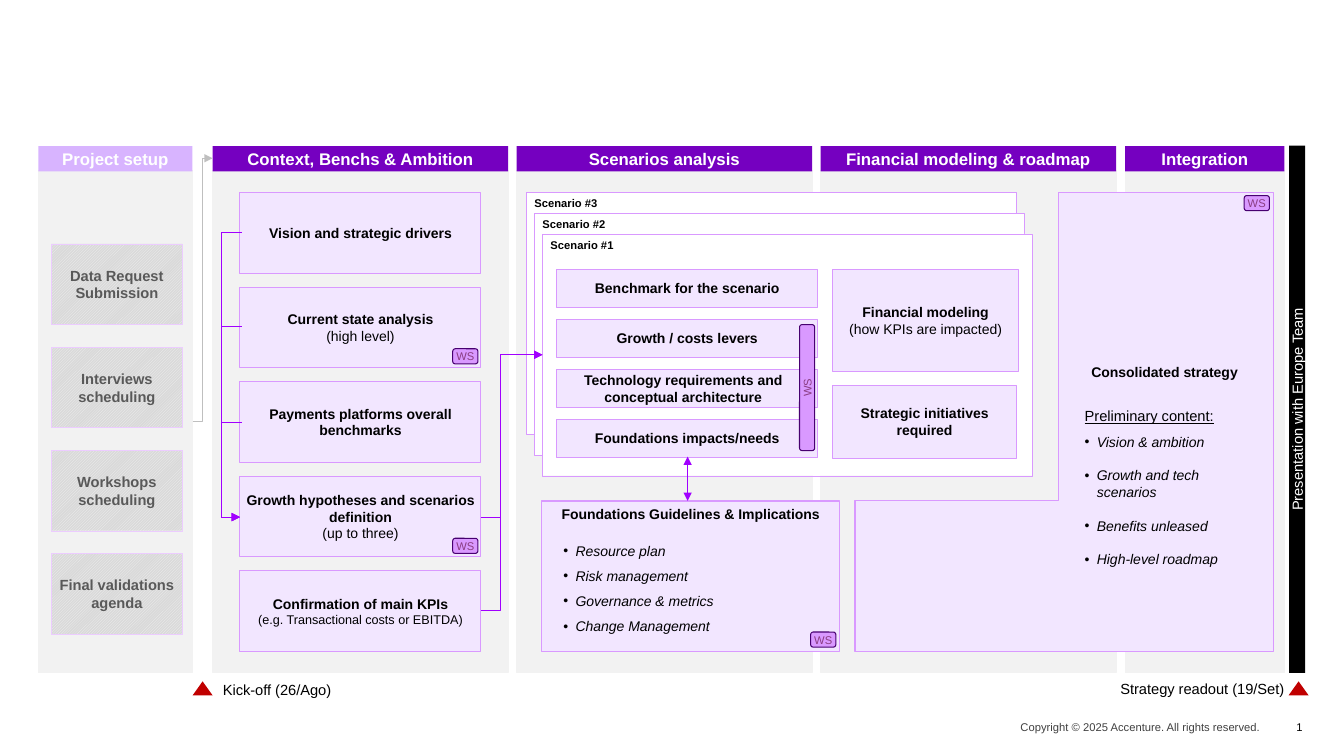
from dataclasses import dataclass

from lxml import etree
from pptx import Presentation, util as u
from pptx.dml.color import RGBColor
from pptx.enum import dml, shapes, text
from pptx.oxml.ns import qn

CELL = 0.1  # one grid column or row, in inches
KIND = shapes.MSO_SHAPE
CENTER, LEFT, RIGHT = text.PP_ALIGN.CENTER, text.PP_ALIGN.LEFT, text.PP_ALIGN.RIGHT
TOP, MIDDLE = text.MSO_ANCHOR.TOP, text.MSO_ANCHOR.MIDDLE
TIGHT = (0.4, 0, 0.4, 0)
EVEN = (0.4, 0.4, 0.4, 0.4)
NONE = (0, 0, 0, 0)


@dataclass(frozen=True)
class Theme:
    font: str = "Arial"
    heading: float = 12
    label: float = 10.5
    body: float = 10
    note: float = 9
    small: float = 8
    black: str = "000000"
    white: str = "FFFFFF"
    panel: str = "F2F2F2"
    hatch: str = "D9D9D9"
    muted: str = "595959"
    footer: str = "404040"
    header: str = "7500C0"
    pale_header: str = "D8B4FF"
    card: str = "F2E6FF"
    card_edge: str = "D999FF"
    pale_edge: str = "ECCCFF"
    badge_edge: str = "470070"
    badge_text: str = "8A3D82"
    accent: str = "A100FF"
    handover: str = "BFBFBF"
    milestone: str = "C00000"


T = Theme()


def grid(*cells):
    return [u.Inches(round(c * CELL, 3)) for c in cells]


def rgb(colour):
    return RGBColor.from_string(colour)


def outline(shape, colour=None, width=0.75):
    if colour:
        shape.line.color.rgb = rgb(colour)
        shape.line.width = u.Pt(width)
    else:
        shape.line.fill.background()


def setup_frame(frame, anchor, insets):
    frame.word_wrap = True
    frame.vertical_anchor = anchor
    (frame.margin_left, frame.margin_top,
     frame.margin_right, frame.margin_bottom) = grid(*insets)


def add_run(paragraph, words, size=T.body, colour=T.black, **style):
    run = paragraph.add_run()
    run.text = words
    run.font.name, run.font.size = T.font, u.Pt(size)
    run.font.color.rgb = rgb(colour)
    for key, value in style.items():
        setattr(run.font, key, value)


def block(slide, place, fill, edge=None, width=0.75, kind=KIND.RECTANGLE, turn=0):
    shape = slide.shapes.add_shape(kind, *grid(*place))
    shape.shadow.inherit = False
    shape.fill.solid()
    shape.fill.fore_color.rgb = rgb(fill)
    outline(shape, edge, width)
    shape.rotation = turn
    return shape


def label(shape, words, size=T.body, colour=T.black, align=CENTER, anchor=MIDDLE,
          insets=NONE, note=None, note_size=T.body, **style):
    setup_frame(shape.text_frame, anchor, insets)
    paragraph = shape.text_frame.paragraphs[0]
    paragraph.alignment = align
    add_run(paragraph, words, size, colour, **style)
    if note:
        paragraph.add_line_break()
        add_run(paragraph, note, note_size, colour)


def caption(slide, place, words, size=T.label, **options):
    label(slide.shapes.add_textbox(*grid(*place)), words, size, **options)


def card(slide, place, words, insets=TIGHT, **options):
    label(block(slide, place, T.card, T.card_edge), words,
          insets=insets, bold=True, **options)


def phase(slide, left, width, title, fill=T.header):
    block(slide, (left, 16.9, width, 49.8), T.panel, T.panel, 1)
    label(block(slide, (left, 14.5, width, 2.5), fill), title,
          T.heading, T.white, bold=True)


def workshop(slide, place, turn=0):
    badge = block(slide, place, T.card_edge, T.badge_edge,
                  kind=KIND.ROUNDED_RECTANGLE, turn=turn)
    label(badge, "WS", T.small, T.badge_text)


def bullets(slide, place, items, gap, intro=None):
    frame = slide.shapes.add_textbox(*grid(*place)).text_frame
    setup_frame(frame, TOP, (1, 0.5, 1, 0.5))
    paragraph = frame.paragraphs[0]
    if intro:
        paragraph.space_after = u.Pt(6)
        add_run(paragraph, intro, T.label, underline=True)
    for i, item in enumerate(items):
        if i or intro:
            paragraph = frame.add_paragraph()
        props = paragraph._p.get_or_add_pPr()
        props.set("marL", str(u.Inches(0.12)))
        props.set("indent", str(-u.Inches(0.12)))
        paragraph.space_after = u.Pt(gap)
        etree.SubElement(props, qn("a:buFont")).set("typeface", T.font)
        etree.SubElement(props, qn("a:buChar")).set("char", "•")
        add_run(paragraph, item, italic=True)


def arrow(slide, start, end, colour=T.accent, bend=None, both=False):
    kind = shapes.MSO_CONNECTOR.STRAIGHT if bend is None else shapes.MSO_CONNECTOR.ELBOW
    link = slide.shapes.add_connector(kind, *grid(*start, *end))
    outline(link, colour, 0.5)
    props = link._element.spPr
    if bend is not None:
        share = (bend - start[0]) / (end[0] - start[0])
        guide = etree.SubElement(props.find(qn("a:prstGeom")).find(qn("a:avLst")), qn("a:gd"))
        guide.set("name", "adj1")
        guide.set("fmla", f"val {round(share * 100000)}")
    line = props.find(qn("a:ln"))
    for tag in ["a:headEnd", "a:tailEnd"] if both else ["a:tailEnd"]:
        etree.SubElement(line, qn(tag)).set("type", "triangle")
    etree.SubElement(props, qn("a:effectLst"))


def project_setup(slide):
    phase(slide, 3.8, 15.3, "Project setup", T.pale_header)
    tasks = ["Data Request Submission", "Interviews scheduling",
             "Workshops scheduling", "Final validations agenda"]
    for i, task in enumerate(tasks):
        box = block(slide, (5.1, 24.2 + 10.23 * i, 13, 8), T.hatch, T.pale_edge, 0.25)
        box.fill.patterned()
        box.fill.pattern = dml.MSO_PATTERN.DARK_UPWARD_DIAGONAL
        box.fill.fore_color.rgb = rgb(T.panel)
        box.fill.back_color.rgb = rgb(T.hatch)
        label(box, task, T.label, T.muted, insets=TIGHT, bold=True)


def context(slide):
    topics = [("Vision and strategic drivers", None, T.body),
              ("Current state analysis", "(high level)", T.body),
              ("Payments platforms overall benchmarks", None, T.body),
              ("Growth hypotheses and scenarios definition", "(up to three)", T.body),
              ("Confirmation of main KPIs", "(e.g. Transactional costs or EBITDA)", T.note)]
    for i, (topic, note, size) in enumerate(topics):
        card(slide, (23.8, 19.1 + 9.38 * i, 23.9, 8), topic, note=note, note_size=size)


def scenarios(slide):
    for i in range(3):
        sheet = block(slide, (52.2 + 0.8 * i, 19.1 + 2.05 * i, 48.6, 24), T.white, T.card_edge, 0.25)
        label(sheet, f"Scenario #{3 - i}", T.small, align=LEFT, anchor=TOP,
              insets=(0.8, 0.4, 0.8, 0), bold=True)
    steps = ["Benchmark for the scenario", "Growth / costs levers",
             "Technology requirements and conceptual architecture", "Foundations impacts/needs"]
    for i, step in enumerate(steps):
        card(slide, (55.2, 26.7 + 4.96 * i, 25.9, 3.8), step,
             (0.4, 0.4, 1.2, 0.4) if i == 2 else EVEN)
    card(slide, (82.6, 26.7, 18.4, 10.2), "Financial modeling", EVEN,
         note="(how KPIs are impacted)")
    card(slide, (82.6, 38.2, 18.2, 7.3), "Strategic initiatives required", EVEN)


def foundations(slide):
    card(slide, (53.7, 49.7, 29.6, 14.9), "Foundations Guidelines & Implications",
         (0.4, 0.4, 0.4, 0), anchor=TOP)
    bullets(slide, (54.9, 53.3, 27.2, 10.3),
            ["Resource plan", "Risk management", "Governance & metrics", "Change Management"], 6)


def strategy(slide):
    corners = [grid(*c) for c in [(105, 19.1), (126.3, 19.1), (126.3, 64.6),
                                  (84.8, 64.6), (84.8, 49.7), (105, 49.7)]]
    builder = slide.shapes.build_freeform(*corners[0])
    builder.add_line_segments(corners[1:], close=True)
    area = builder.convert_to_shape()
    area.shadow.inherit = False
    area.fill.solid()
    area.fill.fore_color.rgb = rgb(T.card)
    outline(area, T.card_edge)
    bullets(slide, (106.6, 39.9, 19.2, 17.1),
            ["Vision & ambition", "Growth and tech scenarios", "Benefits unleased",
             "High-level roadmap"], 12, "Preliminary content:")
    caption(slide, (106.3, 35.7, 18.4, 2.1), "Consolidated strategy", T.body,
            anchor=TOP, insets=(0.4, 0.4, 0.4, 0), bold=True)


def main():
    deck = Presentation()
    deck.slide_width, deck.slide_height = u.Inches(13.33), u.Inches(7.5)
    slide = deck.slides.add_slide(deck.slide_layouts[6])

    # Footer
    caption(slide, (80, 71, 45, 2.2), "Copyright © 2025 Accenture. All rights reserved.",
            T.small, colour=T.footer, align=RIGHT)
    caption(slide, (125.6, 71, 3.6, 2.2), "1", T.small, align=RIGHT)

    # Phases and milestones
    project_setup(slide)
    for i, title in enumerate(["Context, Benchs & Ambition", "Scenarios analysis",
                               "Financial modeling & roadmap"]):
        phase(slide, 21.1 + 30.15 * i, 29.3, title)
    phase(slide, 111.6, 15.8, "Integration")
    for left in (19.1, 127.8):
        block(slide, (left, 67.6, 2, 1.4), T.milestone, kind=KIND.ISOSCELES_TRIANGLE)
    caption(slide, (22.1, 67, 16.1, 2.8), "Kick-off (26/Ago)", align=LEFT)
    caption(slide, (104.8, 66.9, 22.6, 2.8), "Strategy readout (19/Set)", align=RIGHT)
    readout = block(slide, (102.5, 39.8, 52.3, 1.6), T.black, turn=270)
    label(readout, "Presentation with Europe Team", T.label, T.white)

    # Content of the phases
    context(slide)
    scenarios(slide)
    foundations(slide)
    strategy(slide)

    # Flow between the parts
    arrow(slide, (19.1, 41.8), (21.1, 15.7), T.handover, bend=20.1)
    for source in (51.3, 60.6):
        arrow(slide, (47.7, source), (53.8, 35.2), bend=49.6)
    for source in (23.1, 32.4, 41.9):
        arrow(slide, (24, source), (23.8, 51.3), bend=22)
    arrow(slide, (68.2, 45.3), (68.2, 49.7), both=True)

    # Workshop badges
    for left, top in [(44.9, 34.6), (44.9, 53.4), (123.4, 19.4), (80.4, 62.7)]:
        workshop(slide, (left, top, 2.5, 1.5))
    workshop(slide, (73.8, 37.7, 12.5, 1.5), turn=270)

    deck.save("out.pptx")


if __name__ == "__main__":
    main()
